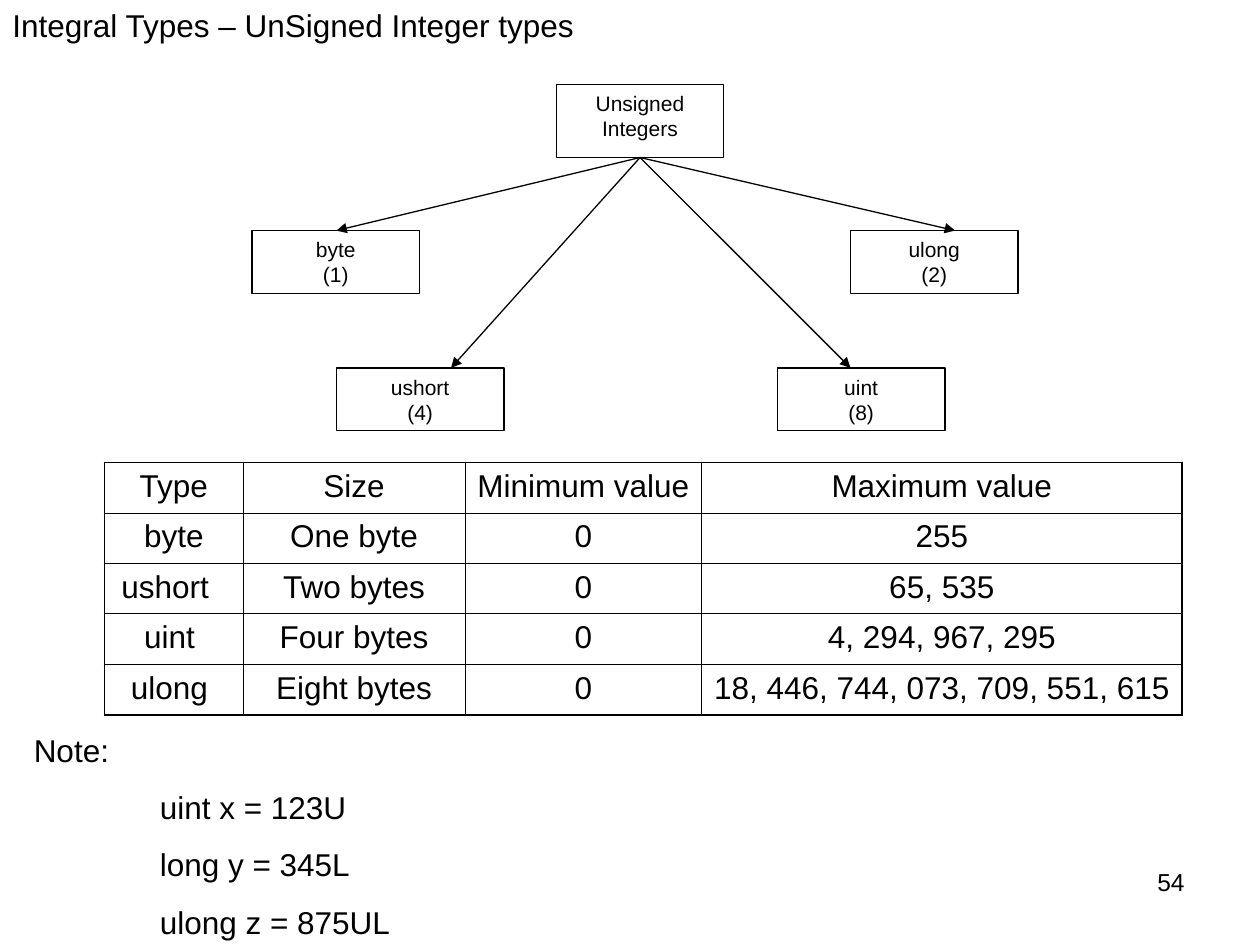
from pptx import Presentation
from pptx.dml.color import RGBColor
from pptx.enum.shapes import MSO_CONNECTOR, MSO_SHAPE
from pptx.enum.text import MSO_ANCHOR, PP_ALIGN
from pptx.oxml.ns import qn
from pptx.util import Inches, Pt
from lxml import etree

LEFT, CENTER, RIGHT = PP_ALIGN.LEFT, PP_ALIGN.CENTER, PP_ALIGN.RIGHT
TOP = MSO_ANCHOR.TOP
RECTANGLE = MSO_SHAPE.RECTANGLE
STRAIGHT = MSO_CONNECTOR.STRAIGHT
FONT, BLACK, WHITE = "Arial", "000000", "FFFFFF"
THIN, THICK = 0.45, 1.08
NODE_WIDTH, NODE_HEIGHT, ROOT_HEIGHT = 1.33, 0.5, 0.58
CELL_MARGIN, SPACE_WIDTH = 0.08, 0.07

# label, size, left and top of the node, x of the arrow tip
NODES = [
    ("ulong", "(2)", 4.75, 1.16, 5.58),
    ("byte", "(1)", 0, 1.16, 0.67),
    ("uint", "(8)", 4.17, 2.25, 4.75),
    ("ushort", "(4)", 0.67, 2.25, 1.58),
]
COLUMN_SHARES = [1.1, 1.76, 1.88, 3.81]
ROWS = [
    ("Type", "Size", "Minimum value", "Maximum value"),
    ("byte", "One byte", "0", "255"),
    ("ushort", "Two bytes", "0", "65, 535"),
    ("uint", "Four bytes", "0", "4, 294, 967, 295"),
    ("ulong", "Eight bytes", "0", "18, 446, 744, 073, 709, 551, 615"),
]
# Type names set left of centre, in widths of a space
NUDGES = {"ushort": 2, "uint": 1, "ulong": 1}
NOTES = ["uint x = 123U", "long y = 345L", "ulong z = 875UL"]


def color(value):
    return RGBColor.from_string(value)


def write(frame, lines, size, align=LEFT, gap=0):
    frame.text = "\n".join(lines)
    frame.word_wrap = True
    for index, para in enumerate(frame.paragraphs):
        para.alignment = align
        para.space_before = Pt(gap if index else 0)
        for span in para.runs:
            span.font.name = FONT
            span.font.size = Pt(size)
            span.font.color.rgb = color(BLACK)


def add_text(page, box, lines, size, align=LEFT, gap=0):
    frame = page.shapes.add_textbox(*map(Inches, box)).text_frame
    write(frame, lines, size, align, gap)
    return frame


def add_node(page, box, lines):
    node = page.shapes.add_shape(RECTANGLE, *map(Inches, box))
    node.shadow.inherit = False
    node.fill.solid()
    node.fill.fore_color.rgb = color(WHITE)
    node.line.color.rgb = color(BLACK)
    node.line.width = Pt(0.75)
    node.text_frame.vertical_anchor = TOP
    write(node.text_frame, lines, 12, CENTER)


def add_arrow(page, start, end):
    arrow = page.shapes.add_connector(STRAIGHT, *map(Inches, start + end))
    arrow.line.color.rgb = color(BLACK)
    arrow.line.width = Pt(0.75)
    line = arrow.line._get_or_add_ln()
    etree.SubElement(line, qn("a:tailEnd"), type="triangle")
    etree.SubElement(arrow._element.spPr, qn("a:effectLst"))


def add_type_tree(page, box):
    left, top, width, _ = box
    for name, size, x, y, _ in NODES:
        add_node(page, (left + x, top + y, NODE_WIDTH, NODE_HEIGHT), [name, size])
    root_left = left + (width - NODE_WIDTH) / 2 + 0.04
    add_node(page, (root_left, top, NODE_WIDTH, ROOT_HEIGHT), ["Unsigned Integers"])
    start = (root_left + NODE_WIDTH / 2, top + ROOT_HEIGHT)
    for _, _, _, y, tip in NODES:
        add_arrow(page, start, (left + tip, top + y))


def set_borders(cell, widths):
    """Takes the widths of the left, right, top and bottom borders in points."""
    props = cell._tc.get_or_add_tcPr()
    for index, (side, width) in enumerate(zip("LRTB", widths)):
        line = etree.Element(qn(f"a:ln{side}"), w=str(Pt(width)))
        fill = etree.SubElement(line, qn("a:solidFill"))
        etree.SubElement(fill, qn("a:srgbClr"), val=BLACK)
        props.insert(index, line)


def add_range_table(page, box):
    row_count, column_count = len(ROWS), len(COLUMN_SHARES)
    _, _, width, height = box
    table = page.shapes.add_table(row_count, column_count, *map(Inches, box)).table
    table.first_row = table.horz_banding = False
    for column, share in zip(table.columns, COLUMN_SHARES):
        column.width = Inches(width * share / sum(COLUMN_SHARES))
    for r, values in enumerate(ROWS):
        table.rows[r].height = Inches(height / row_count)
        for c, value in enumerate(values):
            cell = table.cell(r, c)
            write(cell.text_frame, [value], 18, CENTER)
            nudge = SPACE_WIDTH * NUDGES.get(value, 0)
            cell.margin_left = Inches(CELL_MARGIN)
            cell.margin_right = Inches(CELL_MARGIN + nudge)
            cell.fill.background()
            outer = (c == 0, c == column_count - 1, r == 0, r == row_count - 1)
            set_borders(cell, [THICK if edge else THIN for edge in outer])


def add_notes(page, box):
    frame = add_text(page, box, ["Note:"] + NOTES, 18, gap=11.2)
    for para in frame.paragraphs[1:]:
        para._p.get_or_add_pPr().set("marL", str(Inches(1)))


def main():
    deck = Presentation()
    deck.slide_width, deck.slide_height = Inches(10), Inches(7.5)
    page = deck.slides.add_slide(deck.slide_layouts[6])
    add_text(page, (7.17, 6.83, 2.33, 0.52), ["54"], 14, RIGHT)
    add_text(page, (0, 0, 5.58, 0.4), ["Integral Types – UnSigned Integer types"], 18)
    add_type_tree(page, (2, 0.67, 6.08, 2.75))
    add_range_table(page, (0.83, 3.67, 8.55, 2))
    add_notes(page, (0.17, 5.75, 5.17, 1.77))
    deck.save("out.pptx")


if __name__ == "__main__":
    main()
